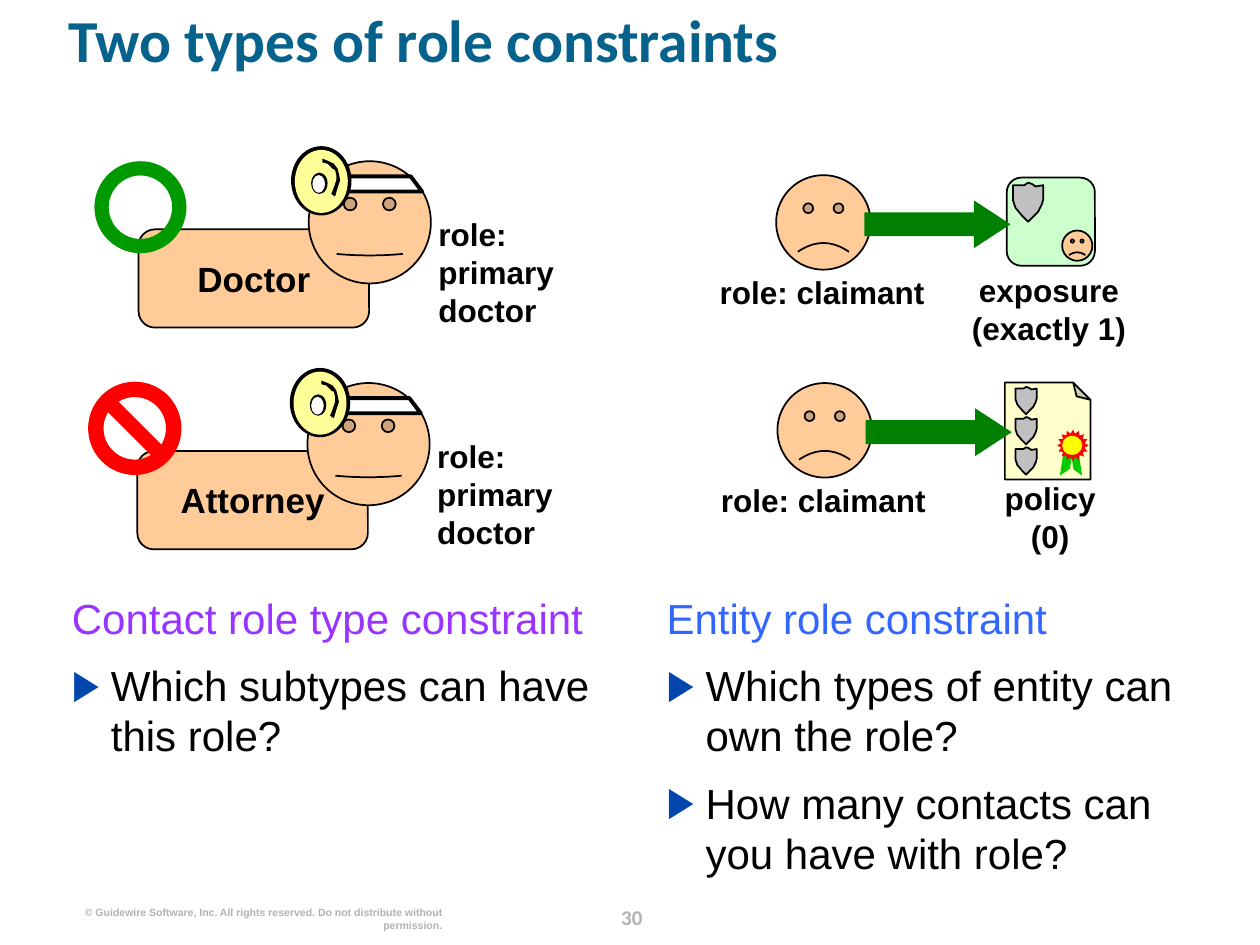
from dataclasses import dataclass
from typing import NamedTuple

from lxml import etree
from pptx import Presentation
from pptx.dml.color import RGBColor
from pptx.enum.shapes import MSO_SHAPE
from pptx.enum.text import MSO_ANCHOR, PP_ALIGN
from pptx.oxml.ns import qn
from pptx.util import Inches, Pt

ROUND, RECT, OVAL = MSO_SHAPE.ROUNDED_RECTANGLE, MSO_SHAPE.RECTANGLE, MSO_SHAPE.OVAL
SMILE, ARROW, SLANT = MSO_SHAPE.SMILEY_FACE, MSO_SHAPE.RIGHT_ARROW, MSO_SHAPE.PARALLELOGRAM
RING, BAN, PAGE, STAR = MSO_SHAPE.DONUT, MSO_SHAPE.NO_SYMBOL, MSO_SHAPE.FOLDED_CORNER, MSO_SHAPE.STAR_16_POINT
TOP = MSO_ANCHOR.TOP
LEFT, MID, RIGHT = PP_ALIGN.LEFT, PP_ALIGN.CENTER, PP_ALIGN.RIGHT


@dataclass(frozen=True)
class Theme:
    """Colours, fonts and type sizes of the slide."""
    black: str = "000000"
    white: str = "FFFFFF"
    skin: str = "FFCC99"
    lens: str = "FFFF99"
    steel: str = "C0C0C0"
    paper: str = "FFFFCC"
    mint: str = "CCFFCC"
    arrow: str = "008000"
    allow: str = "009900"
    red: str = "FF0000"
    yellow: str = "FFFF00"
    ribbon: str = "00CC00"
    title: str = "04628C"
    violet: str = "9933FF"
    blue: str = "3366FF"
    bullet: str = "0146AD"
    grey: str = "B2B2B2"
    body: str = "Arial"
    head: str = "Calibri"
    huge: int = 34
    large: int = 24
    name: int = 20
    label: int = 18
    page: int = 12
    small: int = 6


class Box(NamedTuple):
    """Left, top, width and height in inches."""
    x: float
    y: float
    w: float
    h: float

    def move(self, dx: float, dy: float) -> "Box":
        return Box(self.x + dx, self.y + dy, self.w, self.h)

    def place(self) -> list:
        return [Inches(v) for v in self]


class Doctor(NamedTuple):
    """A contact card with its shift from the first one."""
    name: str
    dx: float
    dy: float


class Claim(NamedTuple):
    """A claimant with its owner label and shift from the first one."""
    owner: str
    dx: float
    dy: float


class Column(NamedTuple):
    """A heading with its questions."""
    box: Box
    head: str
    color: str
    asks: list


T = Theme()
SHIELD = [(.12, .31), (.07, .26), (.02, .2), (0, .14), (0, .02), (.02, .02), (.06, .02), (.09, .02), (.12, 0),
          (.15, .01), (.18, .03), (.24, .02), (.24, .13), (.23, .17), (.2, .23), (.15, .28)]
BAND = [(2.72, 1.4), (3.26, 1.4), (3.35, 1.52), (2.69, 1.52)]
CURL = [(2.56, 1.29), (2.6, 1.3), (2.64, 1.34), (2.66, 1.35), (2.67, 1.39), (2.67, 1.43), (2.65, 1.49), (2.63, 1.54),
        (2.66, 1.56), (2.68, 1.49), (2.7, 1.43), (2.69, 1.38), (2.68, 1.34), (2.65, 1.3), (2.61, 1.28), (2.56, 1.26)]
DOCTORS = [Doctor("Doctor", 0, 0), Doctor("Attorney", -.01, 1.76)]
CLAIMS = [Claim("exposure\n(exactly 1)", 0, 0), Claim("policy\n(0)", .01, 1.65)]
COLUMNS = [
    Column(Box(.57, 4.7, 4.32, 1.83), "Contact role type constraint", T.violet,
           ["Which subtypes can have this role?"]),
    Column(Box(5.29, 4.7, 4.22, 2.13), "Entity role constraint", T.blue,
           ["Which types of entity can own the role?", "How many contacts can you have with role?"]),
]


def paint(shape, fill: str, line: float = 0) -> None:
    shape.shadow.inherit = False
    shape.fill.solid()
    shape.fill.fore_color.rgb = RGBColor.from_string(fill)
    if line:
        shape.line.color.rgb = RGBColor.from_string(T.black)
        shape.line.width = Pt(line)
    else:
        shape.line.fill.background()


def adjust(shape, values: tuple) -> None:
    guides = shape._element.spPr.find(qn("a:prstGeom")).find(qn("a:avLst"))
    for guide in list(guides):
        guides.remove(guide)
    for i, value in enumerate(values, 1):
        name = f"adj{i}" if len(values) > 1 else "adj"
        etree.SubElement(guides, qn("a:gd"), name=name, fmla=f"val {round(value * 100000)}")


def draw(slide, kind, box: Box, fill: str, line: float = 0, bends: tuple = (), turn: float = 0):
    shape = slide.shapes.add_shape(kind, *box.place())
    paint(shape, fill, line)
    if bends:
        adjust(shape, bends)
    shape.rotation = turn
    return shape


def trace(slide, points: list, fill: str, line: float = 0, dx: float = 0, dy: float = 0, scale: float = 1) -> None:
    spots = [(Inches(x * scale + dx), Inches(y * scale + dy)) for x, y in points]
    form = slide.shapes.build_freeform(*spots[0])
    form.add_line_segments(spots[1:], close=True)
    paint(form.convert_to_shape(), fill, line)


def style(para, size: int, color: str, bold: bool = True, font: str = T.body, align=LEFT, pitch: float = 1.2) -> None:
    para.alignment = align
    para.line_spacing = Pt(size * pitch)
    para.font.size, para.font.bold, para.font.name = Pt(size), bold, font
    para.font.color.rgb = RGBColor.from_string(color)


def clear(frame):
    frame.margin_left = frame.margin_top = frame.margin_right = frame.margin_bottom = 0
    frame.word_wrap = True
    frame.vertical_anchor = TOP
    return frame


def write(slide, box: Box, text: str, size: int = T.label, color: str = T.black, **look) -> None:
    para = clear(slide.shapes.add_textbox(*box.place()).text_frame).paragraphs[0]
    para.text = text
    style(para, size, color, **look)


def point(para) -> None:
    props = para._p.get_or_add_pPr()
    props.set("marL", str(Inches(.31)))
    props.set("indent", str(-Inches(.31)))
    tint = etree.SubElement(props, qn("a:buClr"))
    etree.SubElement(tint, qn("a:srgbClr"), val=T.bullet)
    etree.SubElement(props, qn("a:buFont"), typeface=T.body)
    etree.SubElement(props, qn("a:buChar"), char="▶")


def add_column(slide, col: Column) -> None:
    frame = clear(slide.shapes.add_textbox(*col.box.place()).text_frame)
    frame.text = col.head
    style(frame.paragraphs[0], T.large, col.color, bold=False)
    for ask in col.asks:
        para = frame.add_paragraph()
        para.text = ask
        point(para)
        style(para, T.large, T.black, bold=False)
        para.space_before = Pt(9.6)


def add_doctor(slide, doc: Doctor) -> None:
    shift = doc[1:]
    draw(slide, ROUND, Box(1.1, 1.82, 1.83, .78).move(*shift), T.skin, 1)
    plate = draw(slide, RECT, Box(1.16, 2.04, 1.71, .33).move(*shift), T.skin)
    para = clear(plate.text_frame).paragraphs[0]
    para.text = doc.name
    style(para, T.name, T.black, align=MID)
    write(slide, Box(3.48, 1.71, 1.14, .9).move(*shift), "role:\nprimary\ndoctor")
    draw(slide, SMILE, Box(2.45, 1.28, .97, .97).move(*shift), T.skin, 1, (.006,))
    trace(slide, BAND, T.white, 2.25, *shift)
    draw(slide, OVAL, Box(2.31, 1.16, .48, .55).move(*shift), T.black)
    draw(slide, OVAL, Box(2.34, 1.19, .42, .5).move(*shift), T.lens)
    trace(slide, CURL, T.black, 0, *shift)
    draw(slide, OVAL, Box(2.47, 1.37, .13, .17).move(*shift), T.black)
    draw(slide, OVAL, Box(2.48, 1.39, .1, .14).move(*shift), T.white)


def add_claim(slide, claim: Claim) -> None:
    shift = claim[1:]
    write(slide, Box(7.6, 2.15, 1.45, .6).move(*shift), claim.owner, align=MID)
    draw(slide, SMILE, Box(6.16, 1.39, .75, .75).move(*shift), T.skin, 1, (-.047,))
    write(slide, Box(5.69, 2.17, 1.67, .3).move(*shift), "role: claimant", align=MID)
    draw(slide, ARROW, Box(6.86, 1.59, 1.16, .38).move(*shift), T.arrow, 0, (.5, .764))


def add_owners(slide) -> None:
    draw(slide, PAGE, Box(7.93, 3.08, .77, .68), T.paper, 1, (.203,), 270)
    for i in range(3):
        trace(slide, SHIELD, T.steel, 1, 8.06, 3.07 + .24 * i, .7)
    tail = draw(slide, SLANT, Box(8.35, 3.63, .23, .07), T.ribbon, 0, (.882,), 278.9)
    tail._element.spPr.xfrm.set("flipH", "1")
    draw(slide, SLANT, Box(8.42, 3.63, .24, .06), T.ribbon, 0, (.979,), 81.1)
    draw(slide, STAR, Box(8.39, 3.41, .25, .25), T.red, 0, (.375,))
    draw(slide, OVAL, Box(8.43, 3.46, .16, .15), T.yellow)
    draw(slide, ROUND, Box(7.99, 1.41, .7, .7), T.mint, 1)
    trace(slide, SHIELD, T.steel, 1, 8.04, 1.45)
    draw(slide, SMILE, Box(8.43, 1.83, .24, .24), T.skin, 1, (-.047,))


def main() -> None:
    """Build the role constraints slide."""
    deck = Presentation()
    deck.slide_width, deck.slide_height = Inches(10), Inches(7.5)
    slide = deck.slides.add_slide(deck.slide_layouts[5])
    title = slide.shapes.title
    title.left, title.top, title.width, title.height = Box(.54, .13, 9.1, .81).place()
    para = clear(title.text_frame).paragraphs[0]
    para.text = "Two types of role constraints"
    style(para, T.huge, T.title, font=T.head)
    para.line_spacing = .8
    write(slide, Box(4.73, 7.13, .57, .25), "30", T.page, T.grey, font=T.head, align=MID, pitch=1.5)
    write(slide, Box(.61, 7.19, 2.9, .1),
          "© Guidewire Software, Inc. All rights reserved. Do not distribute without permission.",
          T.small, T.grey, align=RIGHT)
    add_owners(slide)
    for doc in DOCTORS:
        add_doctor(slide, doc)
    draw(slide, RING, Box(.75, 1.28, .73, .73), T.allow, 0, (.155,))
    draw(slide, BAN, Box(.7, 3.03, .74, .74), T.red, 0, (.165,))
    for claim in CLAIMS:
        add_claim(slide, claim)
    for col in COLUMNS:
        add_column(slide, col)
    deck.save("out.pptx")


if __name__ == "__main__":
    main()
